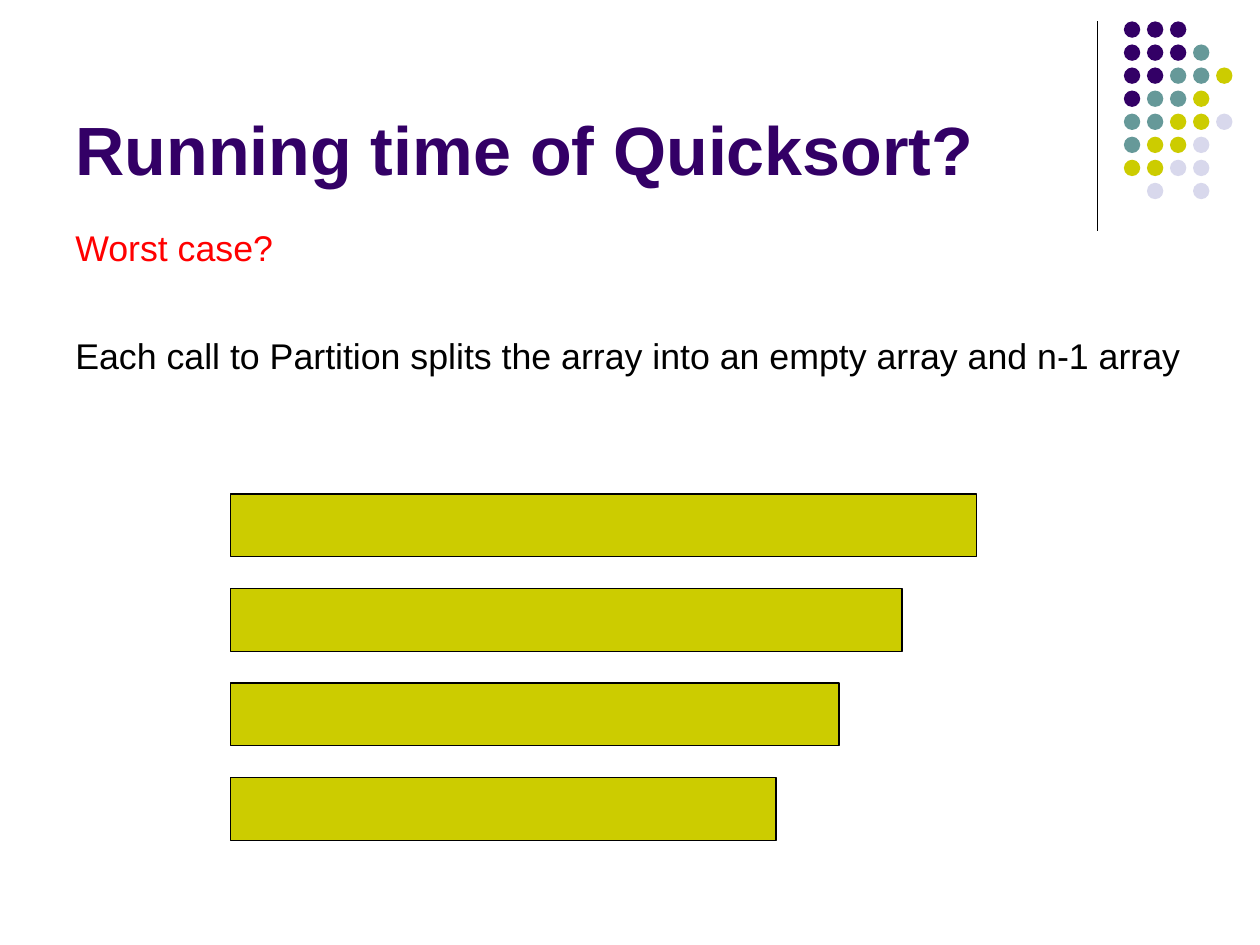
from typing import NamedTuple

from lxml.etree import SubElement
from pptx import Presentation
from pptx.dml.color import RGBColor
from pptx.enum.shapes import MSO_CONNECTOR as Link, MSO_SHAPE as Shape
from pptx.enum.text import MSO_ANCHOR as Anchor, PP_ALIGN as Align
from pptx.oxml.ns import qn
from pptx.util import Inches, Pt

BLACK = RGBColor(0x00, 0x00, 0x00)
RED = RGBColor(0xFF, 0x00, 0x00)
PURPLE = RGBColor(0x33, 0x00, 0x66)
TEAL = RGBColor(0x66, 0x99, 0x99)
OLIVE = RGBColor(0xCC, 0xCC, 0x00)
PALE = RGBColor(0xD8, 0xD8, 0xEC)
FONT = "Arial"

# Dot pattern: one letter per grid cell, a blank leaves the cell empty
HUES = {"P": PURPLE, "T": TEAL, "O": OLIVE, "L": PALE}
DOTS = ["PPP", "PPPT", "PPTTO", "PTTO", "TTOOL", "TOOL", "OOLL", " L L"]

# Array lengths after each call to Partition
BARS = [5.92, 5.33, 4.83, 4.33]


class Box(NamedTuple):
    left: float
    top: float
    width: float
    height: float

    def emu(self) -> list:
        return [Inches(v) for v in self]


class Line(NamedTuple):
    text: str
    color: RGBColor
    gap: float


LINES = [
    Line("Worst case?", RED, 0),
    Line("Each call to Partition splits the array into an empty array and n-1 array",
         BLACK, 37.5),
]


def style(para, size: float, color: RGBColor, bold: bool = False) -> None:
    para.alignment = Align.LEFT
    for run in para.runs:
        font = run.font
        font.name, font.size, font.bold = FONT, Pt(size), bold
        font.color.rgb = color


def draw(shapes, kind: Shape, box: Box, fill: RGBColor, edged: bool = False) -> None:
    shape = shapes.add_shape(kind, *box.emu())
    shape.shadow.inherit = False
    shape.fill.solid()
    shape.fill.fore_color.rgb = fill
    if edged:
        shape.line.color.rgb = BLACK
        shape.line.width = Pt(0.75)
    else:
        shape.line.fill.background()


def add_rule(shapes, x: float, top: float, end: float) -> None:
    rule = shapes.add_connector(Link.STRAIGHT, Inches(x), Inches(top),
                                Inches(x), Inches(end))
    rule.line.color.rgb = BLACK
    rule.line.width = Pt(0.75)
    SubElement(rule._element.spPr, qn("a:effectLst"))


def add_dots(shapes) -> None:
    pitch, size = 0.183, 0.13
    for row, marks in enumerate(DOTS):
        for col, mark in enumerate(marks):
            if mark in HUES:
                box = Box(8.92 + col * pitch, 0.17 + row * pitch, size, size)
                draw(shapes, Shape.OVAL, box, HUES[mark])


def add_title(title, text: str) -> None:
    title.left, title.top, title.width, title.height = Box(0.5, 0.13, 8.25, 1.42).emu()
    frame = title.text_frame
    frame.text = text
    frame.word_wrap = True
    frame.vertical_anchor = Anchor.BOTTOM
    style(frame.paragraphs[0], 39, PURPLE, True)


def add_body(shapes) -> None:
    frame = shapes.add_textbox(*Box(0.5, 1.71, 9, 1.54).emu()).text_frame
    frame.word_wrap = True
    frame.margin_top = Inches(0.08)
    for i, line in enumerate(LINES):
        para = frame.add_paragraph() if i else frame.paragraphs[0]
        para.text = line.text
        para.space_before = Pt(line.gap)
        style(para, 20.4, line.color)


def add_bars(shapes) -> None:
    for row, width in enumerate(BARS):
        box = Box(1.83, 3.92 + row * 0.75, width, 0.5)
        draw(shapes, Shape.RECTANGLE, box, OLIVE, True)


def main() -> None:
    deck = Presentation()
    deck.slide_width, deck.slide_height = Inches(10), Inches(7.5)
    shapes = deck.slides.add_slide(deck.slide_layouts[5]).shapes

    # Corner ornament
    add_rule(shapes, 8.71, 0.17, 1.83)
    add_dots(shapes)

    # Text and shrinking arrays
    add_title(shapes.title, "Running time of Quicksort?")
    add_body(shapes)
    add_bars(shapes)

    deck.save("out.pptx")


if __name__ == "__main__":
    main()
